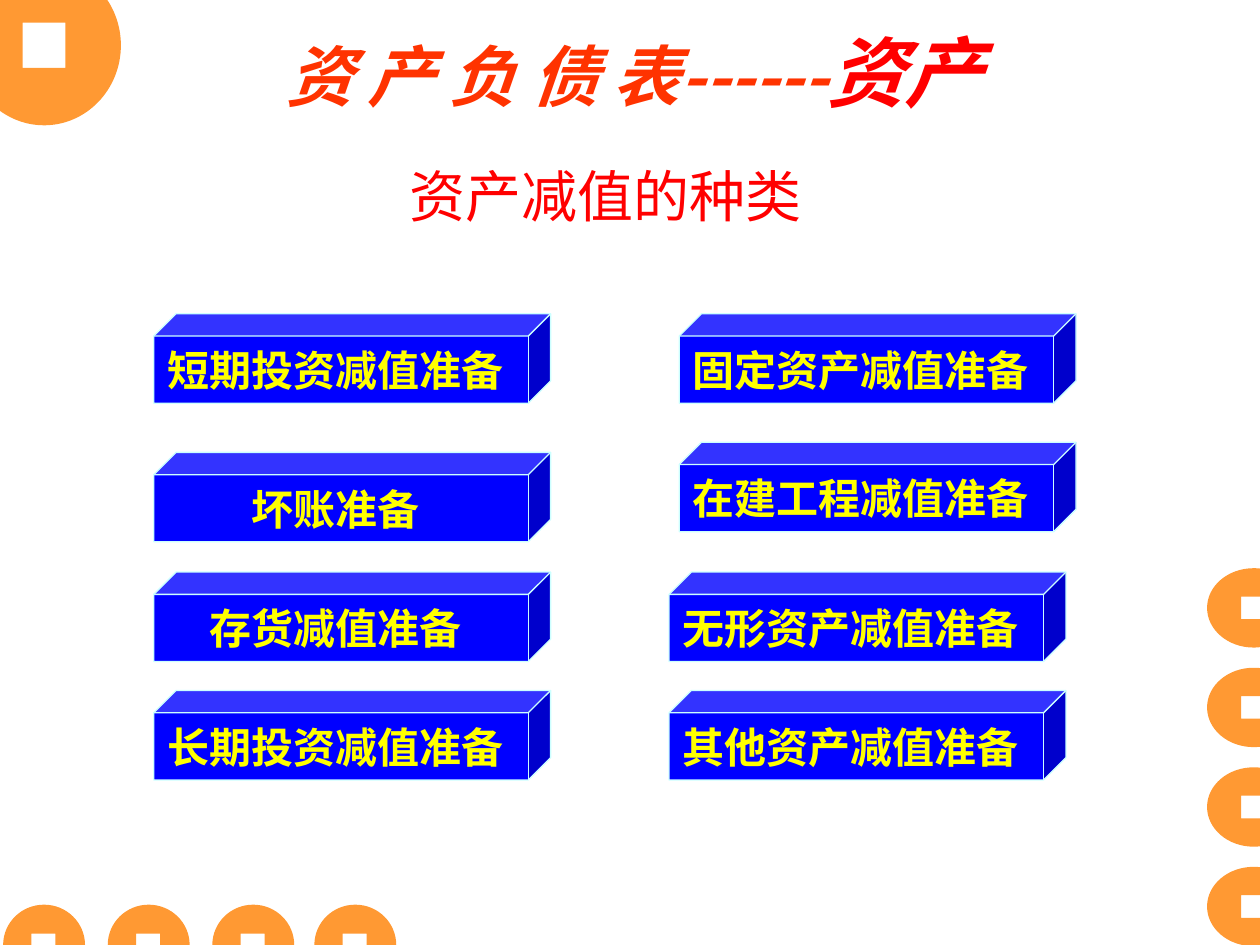
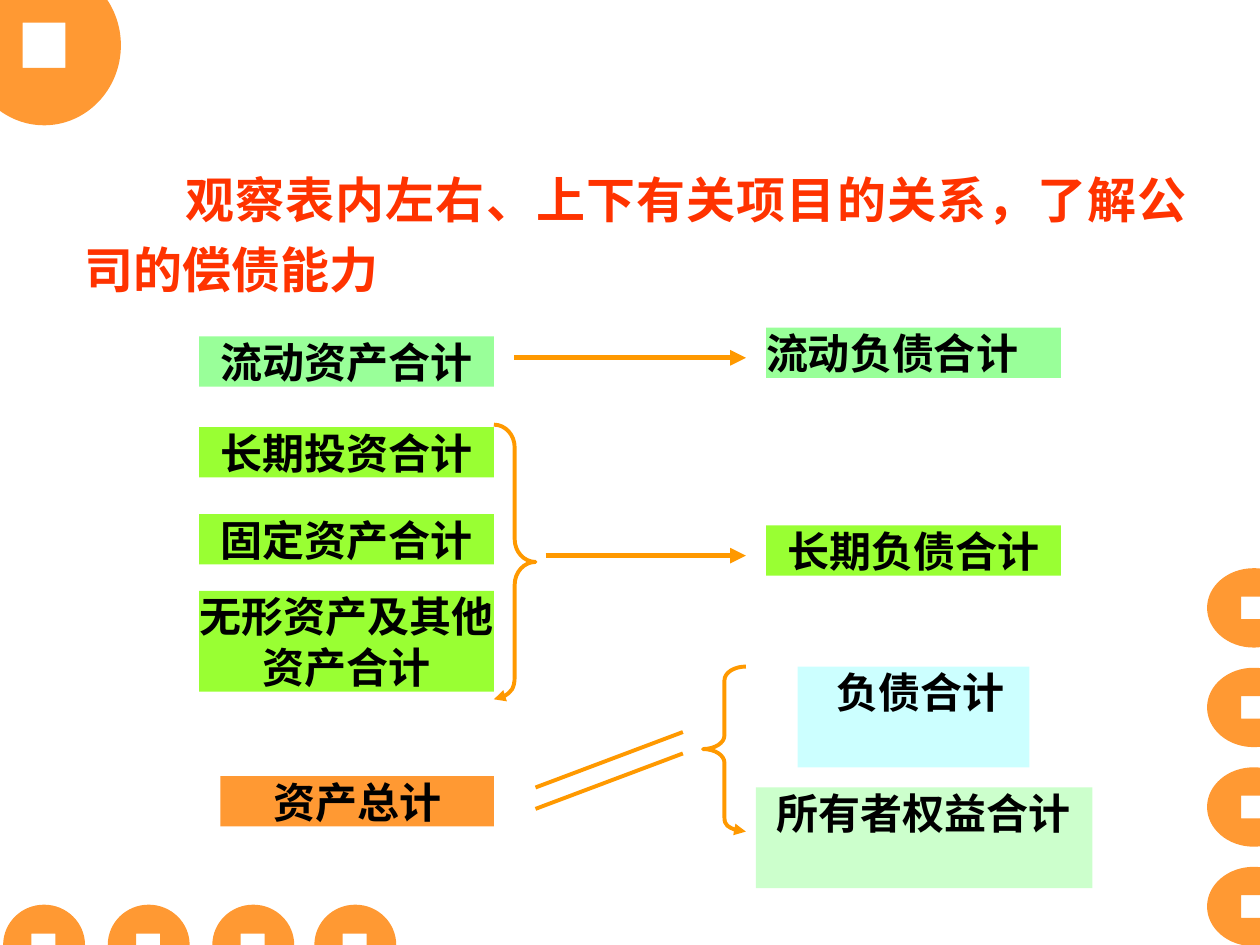
import math

import pptx
import pptx.dml.color
import pptx.enum.shapes
import pptx.enum.text
import pptx.oxml
import pptx.oxml.ns
import pptx.util
from pptx.util import Inches

RGBColor = pptx.dml.color.RGBColor
Align = pptx.enum.text.PP_ALIGN
Anchor = pptx.enum.text.MSO_ANCHOR
Preset = pptx.enum.shapes.MSO_SHAPE

ORANGE = RGBColor(0xFF, 0x99, 0x33)
AMBER = RGBColor(0xFF, 0x99, 0x00)
VERMILION = RGBColor(0xFF, 0x33, 0x00)
RED = RGBColor(0xFF, 0x00, 0x00)
BLUE = RGBColor(0x00, 0x00, 0xFF)
YELLOW = RGBColor(0xFF, 0xFF, 0x00)
BLACK = RGBColor(0x00, 0x00, 0x00)
ICE = RGBColor(0xCC, 0xFF, 0xFF)
MINT = RGBColor(0x99, 0xFF, 0x99)
LIME = RGBColor(0x99, 0xFF, 0x33)
PALE_GREEN = RGBColor(0xCC, 0xFF, 0xCC)

SANS = "Arial"
SERIF = "Times New Roman"
HEADING = "Noto Sans CJK SC"
ACCENT = "Montserrat"


def arc(x, y, radius_x, radius_y, start, end):
    low, high = min(start, end), max(start, end)
    inner = [a for a in range(-90, 361, 90) if low < a < high]
    angles = [math.radians(a) for a in sorted([start, *inner, end], reverse=start > end)]

    def place(angle, lean=0.0):
        return (x + radius_x * (math.cos(angle) - lean * math.sin(angle)),
                y + radius_y * (math.sin(angle) + lean * math.cos(angle)))

    steps = [[place(angles[0])]]
    for first, last in zip(angles, angles[1:]):
        lean = 4 / 3 * math.tan((last - first) / 4)
        steps.append([place(first, lean), place(last, -lean), place(last)])
    return steps


def corners(*points):
    return [[point] for point in points]


class Painter:
    def __init__(self):
        self.deck = pptx.Presentation()
        self.deck.slide_width = Inches(10)
        self.deck.slide_height = Inches(7.5)
        self.page = None

    def new_page(self):
        self.page = self.deck.slides.add_slide(self.deck.slide_layouts[6])
        hole = corners((0.52, 0.54), (0.18, 0.54), (0.18, 0.18), (0.52, 0.18))
        self.coin(arc(0.35, 0.36, 0.61, 0.635, -35, 125) + corners((0, 0)), hole)
        for row in range(4):
            y = 4.825 + 0.79 * row
            notch = corners((10, y + 0.09), (9.85, y + 0.09), (9.85, y - 0.09), (10, y - 0.09))
            self.coin(arc(9.95, y, 0.37, 0.315, 278, 82) + notch)
        for x in (0.35, 1.18, 2.01, 2.82):
            notch = corners((x + 0.09, 7.5), (x + 0.09, 7.41), (x - 0.1, 7.41), (x - 0.1, 7.5))
            self.coin(arc(x, 7.5, 0.325, 0.32, 180, 360) + notch)

    def outline(self, contours, close):
        builder = None
        for contour in contours:
            points = [(Inches(x), Inches(y)) for step in contour for x, y in step]
            if builder is None:
                builder = self.page.shapes.build_freeform(*points[0])
            else:
                builder.move_to(*points[0])
            builder.add_line_segments(points[1:], close=close)
        shape = builder.convert_to_shape()
        shape.shadow.inherit = False
        segments = iter(shape._element.findall(".//" + pptx.oxml.ns.qn("a:lnTo")))
        for contour in contours:
            for step in contour[1:]:
                parts = [next(segments) for _ in step]
                if len(parts) == 3:
                    curve = pptx.oxml.parse_xml(
                        f'<a:cubicBezTo {pptx.oxml.ns.nsdecls("a")}/>')
                    parts[0].addprevious(curve)
                    for part in parts:
                        curve.append(part[0])
                        part.getparent().remove(part)
        return shape

    def coin(self, *contours):
        shape = self.outline(contours, True)
        shape.fill.solid()
        shape.fill.fore_color.rgb = ORANGE
        shape.line.fill.background()

    def stroke(self, shape, width, arrow):
        shape.line.color.rgb = AMBER
        shape.line.width = pptx.util.Pt(width)
        if arrow:
            line = shape.line._get_or_add_ln()
            tail = pptx.oxml.parse_xml(
                f'<a:tailEnd {pptx.oxml.ns.nsdecls("a")} type="triangle"/>')
            line.append(tail)

    def brace(self, end, tip, top, bottom):
        radius_x = (tip - end) / 2
        radius_y = (bottom - top) / 12
        middle = (top + bottom) / 2
        contour = arc(end, top + radius_y, radius_x, radius_y, -90, 0)
        contour += arc(tip, middle - radius_y, radius_x, radius_y, 180, 90)
        contour += arc(tip, middle + radius_y, radius_x, radius_y, 270, 180)[1:]
        contour += arc(end, bottom - radius_y, radius_x, radius_y, 0, 90)
        shape = self.outline([contour], False)
        shape.fill.background()
        self.stroke(shape, 2.25, True)

    def line(self, start, end, width=2.25, arrow=False):
        ends = [Inches(value) for value in (*start, *end)]
        connector = self.page.shapes.add_connector(
            pptx.enum.shapes.MSO_CONNECTOR.STRAIGHT, *ends)
        self.stroke(connector, width, arrow)
        connector._element.spPr.append(
            pptx.oxml.parse_xml(f'<a:effectLst {pptx.oxml.ns.nsdecls("a")}/>'))

    def span(self, para, text, size, color, font, bold=False, italic=False, asian=ACCENT):
        span = para.add_run()
        span.text = text
        span.font.size = pptx.util.Pt(size)
        span.font.name = font
        span.font.bold = bold
        span.font.italic = italic
        span.font.color.rgb = color
        span._r.get_or_add_rPr().append(pptx.oxml.parse_xml(
            f'<a:ea {pptx.oxml.ns.nsdecls("a")} typeface="{asian}"/>'))

    def para(self, box, align, anchor=Anchor.TOP, inset=0.0, wrap=True, indent=0.0):
        frame = box.text_frame
        frame.word_wrap = wrap
        frame.vertical_anchor = anchor
        frame.margin_left = frame.margin_right = Inches(inset)
        frame.margin_top = frame.margin_bottom = Inches(inset / 2)
        para = frame.paragraphs[0]
        para.alignment = align
        if indent:
            para._p.get_or_add_pPr().set("indent", str(Inches(indent)))
        return para

    def text(self, left, top, width, height, align, **layout):
        box = self.page.shapes.add_textbox(*map(Inches, (left, top, width, height)))
        return self.para(box, align, **layout)

    def block(self, preset, left, top, width, height, fill):
        shape = self.page.shapes.add_shape(preset, *map(Inches, (left, top, width, height)))
        shape.shadow.inherit = False
        shape.fill.solid()
        shape.fill.fore_color.rgb = fill
        shape.line.fill.background()
        return shape

    def cube(self, left, top, label):
        shape = self.block(Preset.CUBE, left, top, 3.15, 0.71, BLUE)
        shape.adjustments[0] = 0.25
        shape.line.color.rgb = ICE
        shape.line.width = pptx.util.Pt(0.75)
        para = self.para(shape, Align.CENTER, Anchor.MIDDLE, inset=0.1, wrap=False)
        self.span(para, label + " ", 24, YELLOW, SANS, bold=True)

    def total(self, left, top, width, height, fill, label, align=Align.CENTER, indent=0.0):
        shape = self.block(Preset.RECTANGLE, left, top, width, height, fill)
        para = self.para(shape, align, indent=indent)
        self.span(para, label, 24, BLACK, SERIF, bold=True)


def impairment_page(painter):
    painter.new_page()
    title = painter.text(1.22, 0.2, 7.62, 0.72, Align.CENTER, anchor=Anchor.MIDDLE)
    painter.span(title, "资 产 负 债 表------", 38, VERMILION, HEADING, True, True, HEADING)
    painter.span(title, "资产", 44, RED, ACCENT, True, True, HEADING)
    provisions = [
        (1.22, 2.49, "短期投资减值准备"),
        (1.22, 3.59, "坏账准备"),
        (1.22, 4.54, "存货减值准备"),
        (1.22, 5.48, "长期投资减值准备"),
        (5.39, 2.49, "固定资产减值准备"),
        (5.39, 3.51, "在建工程减值准备"),
        (5.31, 4.54, "无形资产减值准备"),
        (5.31, 5.48, "其他资产减值准备"),
    ]
    for provision in provisions:
        painter.cube(*provision)
    subtitle = painter.text(2.48, 1.23, 4.72, 0.64, Align.CENTER, inset=0.1)
    painter.span(subtitle, "资产减值的种类", 32, RED, SANS)
    painter.span(subtitle, " ", 20, BLACK, SANS)


def solvency_page(painter):
    painter.new_page()
    lead = painter.text(0.67, 1.25, 8.75, 1.12, Align.JUSTIFY, indent=0.8)
    lead.line_spacing = 1.2
    painter.span(lead, "观察表内左右、上下有关项目的关系，了解公司的偿债能力",
                 28, VERMILION, SERIF, bold=True)
    totals = [
        (1.58, 2.67, 2.34, 0.4, MINT, "流动资产合计"),
        (1.58, 3.39, 2.34, 0.4, LIME, "长期投资合计"),
        (1.58, 4.08, 2.34, 0.4, LIME, "固定资产合计"),
        (1.58, 4.69, 2.34, 0.8, LIME, "无形资产及其他资产合计"),
        (1.75, 6.16, 2.17, 0.4, ORANGE, "资产总计"),
        (6.08, 2.6, 2.34, 0.4, MINT, "流动负债合计", Align.JUSTIFY),
        (6.08, 4.17, 2.34, 0.4, LIME, "长期负债合计"),
        (6.33, 5.29, 1.84, 0.8, ICE, "负债合计", Align.LEFT, 0.31),
        (6, 6.25, 2.67, 0.8, PALE_GREEN, "所有者权益合计", Align.LEFT, 0.16),
    ]
    for total in totals:
        painter.total(*total)
    painter.line((4.08, 2.84), (5.92, 2.84), 3, True)
    painter.line((4.33, 4.41), (5.92, 4.41), 3, True)
    painter.brace(3.92, 4.25, 3.37, 5.55)
    painter.brace(5.92, 5.58, 5.29, 6.6)
    for drop in (0, 0.17):
        painter.line((4.25, 6.25 + drop), (5.42, 5.81 + drop))


def main():
    painter = Painter()
    impairment_page(painter)
    solvency_page(painter)
    painter.deck.save("out.pptx")


if __name__ == "__main__":
    main()
